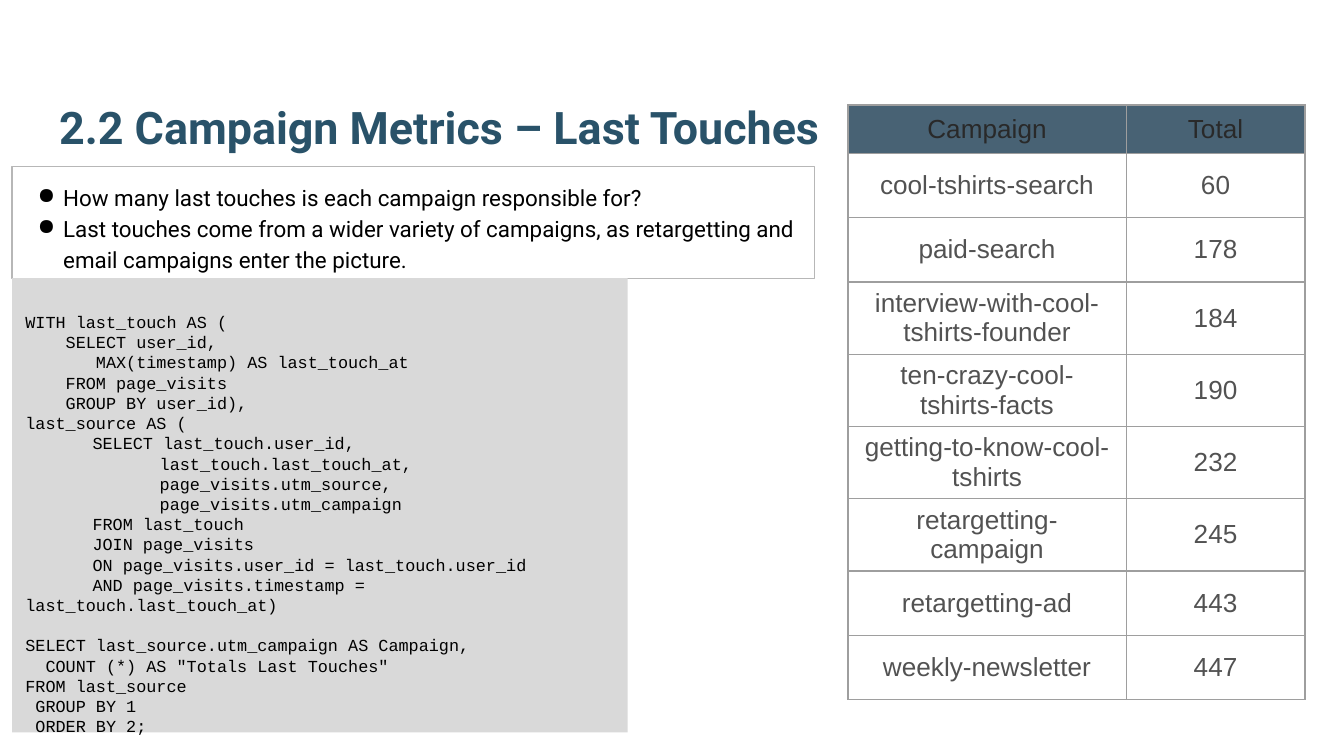
from pptx import Presentation
from pptx.dml.color import RGBColor
from pptx.enum.shapes import MSO_SHAPE
from pptx.enum.text import MSO_ANCHOR, MSO_AUTO_SIZE, PP_ALIGN
from pptx.oxml import parse_xml
from pptx.oxml.ns import nsdecls, qn
from pptx.util import Pt
from lxml.etree import SubElement

COLORS = {
    "title": "295269", "black": "000000", "outline": "B7B7B7", "code": "D9D9D9",
    "header": "204056", "header_text": "292929", "cell_text": "525252", "grid": "9E9E9E",
}

TOTALS = [
    ("cool-tshirts-search", 60),
    ("paid-search", 178),
    ("interview-with-cool-tshirts-founder", 184),
    ("ten-crazy-cool-tshirts-facts", 190),
    ("getting-to-know-cool-tshirts", 232),
    ("retargetting-campaign", 245),
    ("retargetting-ad", 443),
    ("weekly-newsletter", 447),
]

POINTS = [
    "How many last touches is each campaign responsible for?",
    "Last touches come from a wider variety of campaigns, as retargetting and "
    "email campaigns enter the picture.",
]

SUBQUERIES = """WITH last_touch AS (
    SELECT user_id,
       MAX(timestamp) AS last_touch_at
    FROM page_visits
    GROUP BY user_id),
last_source AS (
	SELECT last_touch.user_id,
		last_touch.last_touch_at,
		page_visits.utm_source,
		page_visits.utm_campaign
	FROM last_touch
	JOIN page_visits
	ON page_visits.user_id = last_touch.user_id
	AND page_visits.timestamp = last_touch.last_touch_at)"""

MAIN_QUERY = """SELECT last_source.utm_campaign AS Campaign,
  COUNT (*) AS "Totals Last Touches"
FROM last_source
 GROUP BY 1
 ORDER BY 2;"""


class SlideBuilder:
    """Draws styled elements on one page; all lengths are in points."""

    def __init__(self, page):
        self.page = page

    def add_span(self, para, text, font, size, color, bold=False):
        span = para.add_run()
        span.text = text
        span.font.name = font
        span.font.size = Pt(size)
        span.font.bold = bold
        span.font.color.rgb = RGBColor.from_string(COLORS[color])

    def inset(self, frame, left=7.2, top=7.2):
        frame.margin_left, frame.margin_top = Pt(left), Pt(top)
        frame.margin_right = frame.margin_bottom = Pt(7.2)
        frame.word_wrap = True
        frame.auto_size = MSO_AUTO_SIZE.NONE

    def title(self, text, left, top, width, height):
        box = self.page.shapes.title
        box.left, box.top, box.width, box.height = map(Pt, (left, top, width, height))
        frame = box.text_frame
        self.inset(frame)
        frame.vertical_anchor = MSO_ANCHOR.BOTTOM
        para = frame.paragraphs[0]
        para.alignment = PP_ALIGN.LEFT
        self.add_span(para, text, "Roboto", 24, "title", bold=True)

    def panel(self, left, top, width, height, fill=None, line=None):
        box = self.page.shapes.add_shape(
            MSO_SHAPE.RECTANGLE, *map(Pt, (left, top, width, height)))
        box.shadow.inherit = False
        if fill:
            box.fill.solid()
            box.fill.fore_color.rgb = RGBColor.from_string(COLORS[fill])
        else:
            box.fill.background()
        if line:
            box.line.color.rgb = RGBColor.from_string(COLORS[line])
            box.line.width = Pt(0.75)
        else:
            box.line.fill.background()
        box.text_frame.vertical_anchor = MSO_ANCHOR.TOP
        return box.text_frame

    def paragraphs(self, frame, lines):
        for index, line in enumerate(lines):
            para = frame.add_paragraph() if index else frame.paragraphs[0]
            para.alignment = PP_ALIGN.LEFT
            yield para, line

    def bullets(self, points, *area):
        frame = self.panel(*area, line="outline")
        self.inset(frame, left=13.7)
        for para, point in self.paragraphs(frame, points):
            props = para._p.get_or_add_pPr()
            props.set("marL", str(Pt(13.7)))
            props.set("indent", str(-Pt(15.1)))
            color = SubElement(props, qn("a:buClr"))
            SubElement(color, qn("a:srgbClr"), val=COLORS["black"])
            SubElement(props, qn("a:buChar"), char="●")
            para.line_spacing = 1.15
            self.add_span(para, point, "Roboto", 12, "black")

    def code(self, blocks, line_height, *area):
        """Draw code blocks, with one line of space above each."""
        frame = self.panel(*area, fill="code")
        self.inset(frame, top=7.2 + line_height)
        starts = [block.splitlines()[0] for block in blocks[1:]]
        lines = [line for block in blocks for line in block.splitlines()]
        for para, line in self.paragraphs(frame, lines):
            if line in starts:
                para.space_before = Pt(line_height)
            self.add_span(para, line, "Courier New", 9, "black")

    def table(self, rows, left, top, widths, header_height, row_height):
        heights = [header_height] + [row_height] * (len(rows) - 1)
        table = self.page.shapes.add_table(
            len(rows), len(widths), Pt(left), Pt(top),
            Pt(sum(widths)), Pt(sum(heights))).table
        for column, width in zip(table.columns, widths):
            column.width = Pt(width)
        for index, (values, height) in enumerate(zip(rows, heights)):
            table.rows[index].height = Pt(height)
            for cell, value in zip(table.rows[index].cells, values):
                self.cell(cell, str(value), header=index == 0)

    def cell(self, cell, text, header):
        cell.vertical_anchor = MSO_ANCHOR.MIDDLE
        para = cell.text_frame.paragraphs[0]
        para.alignment = PP_ALIGN.CENTER
        self.add_span(para, text, "Arial", 14, "header_text" if header else "cell_text")
        if header:
            cell.fill.solid()
            cell.fill.fore_color.rgb = RGBColor.from_string(COLORS["header"])
            tint = cell._tc.tcPr.find(".//" + qn("a:srgbClr"))
            SubElement(tint, qn("a:alpha"), val="82000")
        else:
            cell.fill.background()
        for index, side in enumerate(("lnL", "lnR", "lnT", "lnB")):
            cell._tc.tcPr.insert(index, parse_xml(
                f'<a:{side} {nsdecls("a")} w="{Pt(0.75)}"><a:solidFill>'
                f'<a:srgbClr val="{COLORS["grid"]}"/></a:solidFill></a:{side}>'))


def main():
    deck = Presentation()
    deck.slide_width, deck.slide_height = Pt(720), Pt(405)
    builder = SlideBuilder(deck.slides.add_slide(deck.slide_layouts[5]))
    builder.title("2.2 Campaign Metrics – Last Touches", 24.5, 23, 671, 66.2)
    builder.bullets(POINTS, 6.5, 89.3, 429.8, 59.8)
    builder.table([("Campaign", "Total")] + TOTALS, 454.3, 56.2, (149, 95.8), 25.9, 34.5)
    builder.code((SUBQUERIES, MAIN_QUERY), 10.8, 6.5, 149, 329.8, 243.4)
    deck.save("out.pptx")


if __name__ == "__main__":
    main()
